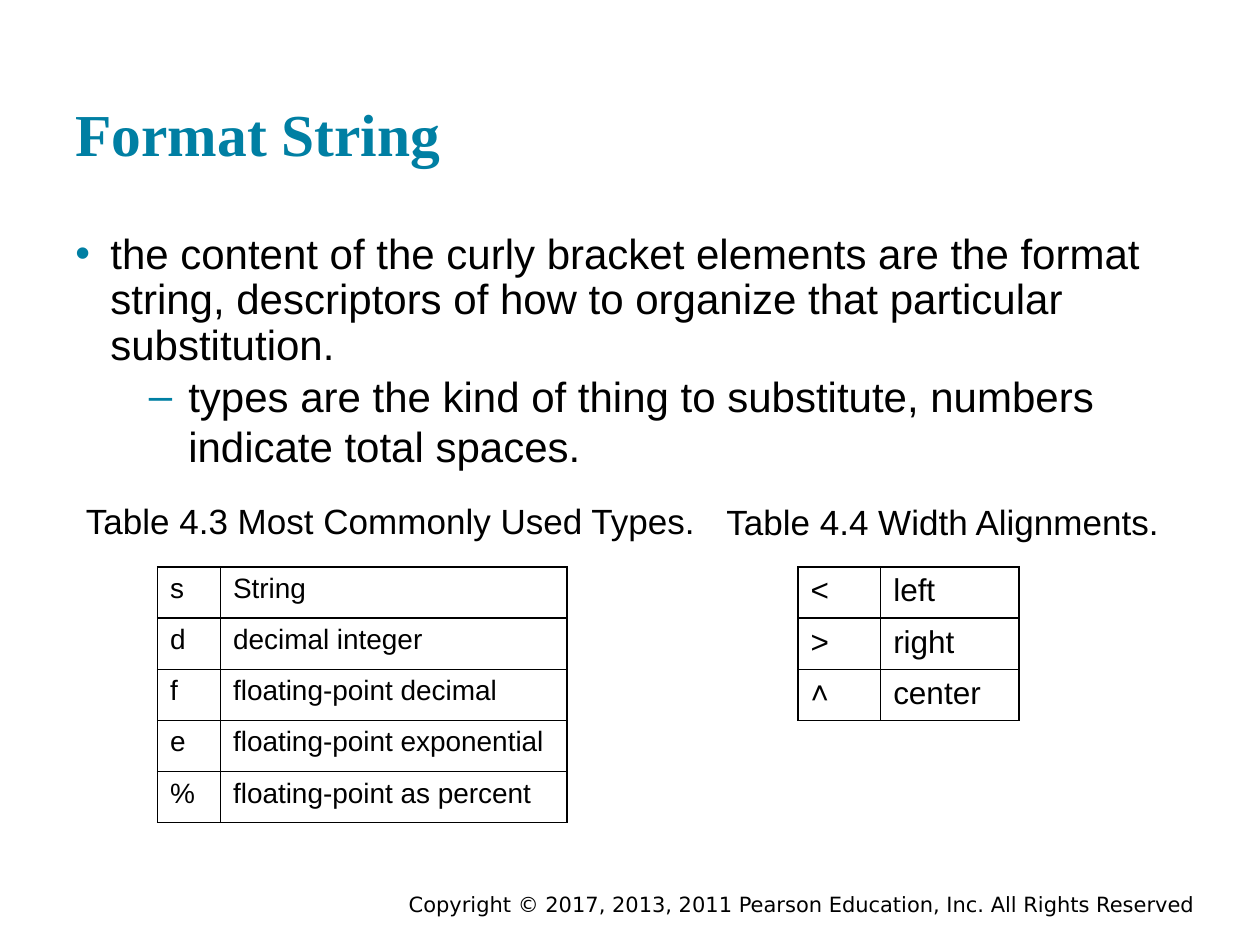
import dataclasses

import pptx
import pptx.dml.color
import pptx.enum.text
import pptx.oxml
import pptx.oxml.ns
import pptx.util

Pt = pptx.util.Pt
Color = pptx.dml.color.RGBColor
Align = pptx.enum.text.PP_ALIGN
Anchor = pptx.enum.text.MSO_ANCHOR


@dataclasses.dataclass(frozen=True)
class Theme:
    accent: str = "007FA3"
    ink: str = "000000"
    heading_font: str = "Times New Roman"
    body_font: str = "Arial"
    footer_font: str = "DejaVu Sans"
    title_size: float = 34
    body_size: float = 24
    caption_size: float = 20
    types_size: float = 16
    alignments_size: float = 18
    footer_size: float = 12
    inset: float = 7.2
    row_height: float = 29.25


THEME = Theme()


def append_xml(parent, tag, content="", **attributes):
    listed = "".join(f' {name}="{value}"' for name, value in attributes.items())
    namespace = pptx.oxml.ns.nsdecls("a")
    parent.append(pptx.oxml.parse_xml(
        f"<a:{tag} {namespace}{listed}>{content}</a:{tag}>"))


def style_font(para, size, name=THEME.body_font, color=THEME.ink, bold=False):
    para.font.size = Pt(size)
    para.font.name = name
    para.font.bold = bold
    para.font.color.rgb = Color.from_string(color)


def prepare_frame(frame, vertical_inset=THEME.inset):
    frame.word_wrap = True
    frame.auto_size = pptx.enum.text.MSO_AUTO_SIZE.NONE
    frame.margin_left = frame.margin_right = Pt(THEME.inset)
    frame.margin_top = frame.margin_bottom = Pt(vertical_inset)


def add_text(page, area, text, size, vertical_inset=THEME.inset):
    box = page.shapes.add_textbox(*map(Pt, area))
    prepare_frame(box.text_frame, vertical_inset)
    para = box.text_frame.paragraphs[0]
    para.text = text
    return para


def add_title(page, area, text):
    title = page.shapes.title
    title.left, title.top, title.width, title.height = map(Pt, area)
    prepare_frame(title.text_frame)
    title.text_frame.vertical_anchor = Anchor.BOTTOM
    para = title.text_frame.paragraphs[0]
    para.text = text
    para.alignment = Align.LEFT
    style_font(para, THEME.title_size, THEME.heading_font, THEME.accent, True)


def add_bullet(page, area, text, mark, indent, hang, level=0, spacing=1.0):
    para = add_text(page, area, text, THEME.body_size)
    para.level = level
    para.line_spacing = spacing
    properties = para._p.get_or_add_pPr()
    properties.set("marL", str(Pt(indent)))
    properties.set("indent", str(-Pt(hang)))
    append_xml(properties, "buClr", f'<a:srgbClr val="{THEME.accent}"/>')
    append_xml(properties, "buFont", typeface=THEME.body_font)
    append_xml(properties, "buChar", char=mark)
    style_font(para, THEME.body_size)


def add_caption(page, area, text):
    style_font(add_text(page, area, text, THEME.caption_size), THEME.caption_size)


def add_grid(page, left, top, widths, rows, size):
    frame = page.shapes.add_table(
        len(rows), len(widths), Pt(left), Pt(top),
        Pt(sum(widths)), Pt(THEME.row_height * len(rows)))
    table = frame.table
    table.first_row = table.horz_banding = False
    for column, width in zip(table.columns, widths):
        column.width = Pt(width)
    line = f'<a:solidFill><a:srgbClr val="{THEME.ink}"/></a:solidFill>'
    for row, texts in zip(table.rows, rows):
        row.height = Pt(THEME.row_height)
        for cell, text in zip(row.cells, texts):
            cell.text = text
            style_font(cell.text_frame.paragraphs[0], size)
            # Borders come before the fill in the cell properties
            for side in ("lnL", "lnR", "lnT", "lnB"):
                append_xml(cell._tc.get_or_add_tcPr(), side, line, w=Pt(1))
            cell.fill.background()


def add_footer(page, area, text):
    para = add_text(page, area, text, THEME.footer_size, vertical_inset=3.6)
    para.alignment = Align.RIGHT
    style_font(para, THEME.footer_size, THEME.footer_font)


def build_format_page(deck):
    page = deck.slides.add_slide(deck.slide_layouts[5])
    add_footer(page, (126, 506, 564, 16),
               "Copyright © 2017, 2013, 2011 Pearson Education, Inc. "
               "All Rights Reserved")
    add_title(page, (36, 17.5, 648, 86), "Format String")

    # Explanation
    add_bullet(page, (36, 126, 648, 84),
               "the content of the curly bracket elements are the format "
               "string, descriptors of how to organize that particular "
               "substitution.", "•", 20, 20, spacing=0.9)
    add_bullet(page, (42, 204.5, 648, 65.5),
               "types are the kind of thing to substitute, numbers indicate "
               "total spaces.", "–", 58.5, 22.5, level=1)

    # Types
    add_caption(page, (42, 278, 366, 34), "Table 4.3 Most Commonly Used Types.")
    types = [("s", "String"), ("d", "decimal integer"),
             ("f", "floating-point decimal"),
             ("e", "floating-point exponential"),
             ("%", "floating-point as percent")]
    add_grid(page, 90, 324, (36, 198), types, THEME.types_size)

    # Alignments
    add_caption(page, (408, 278.5, 270, 32.5), "Table 4.4 Width Alignments.")
    alignments = [("<", "left"), (">", "right"), ("˄", "center")]
    add_grid(page, 456, 324, (47.25, 79), alignments, THEME.alignments_size)


def main():
    deck = pptx.Presentation()
    deck.slide_width, deck.slide_height = Pt(720), Pt(540)
    build_format_page(deck)
    deck.save("out.pptx")


if __name__ == "__main__":
    main()
